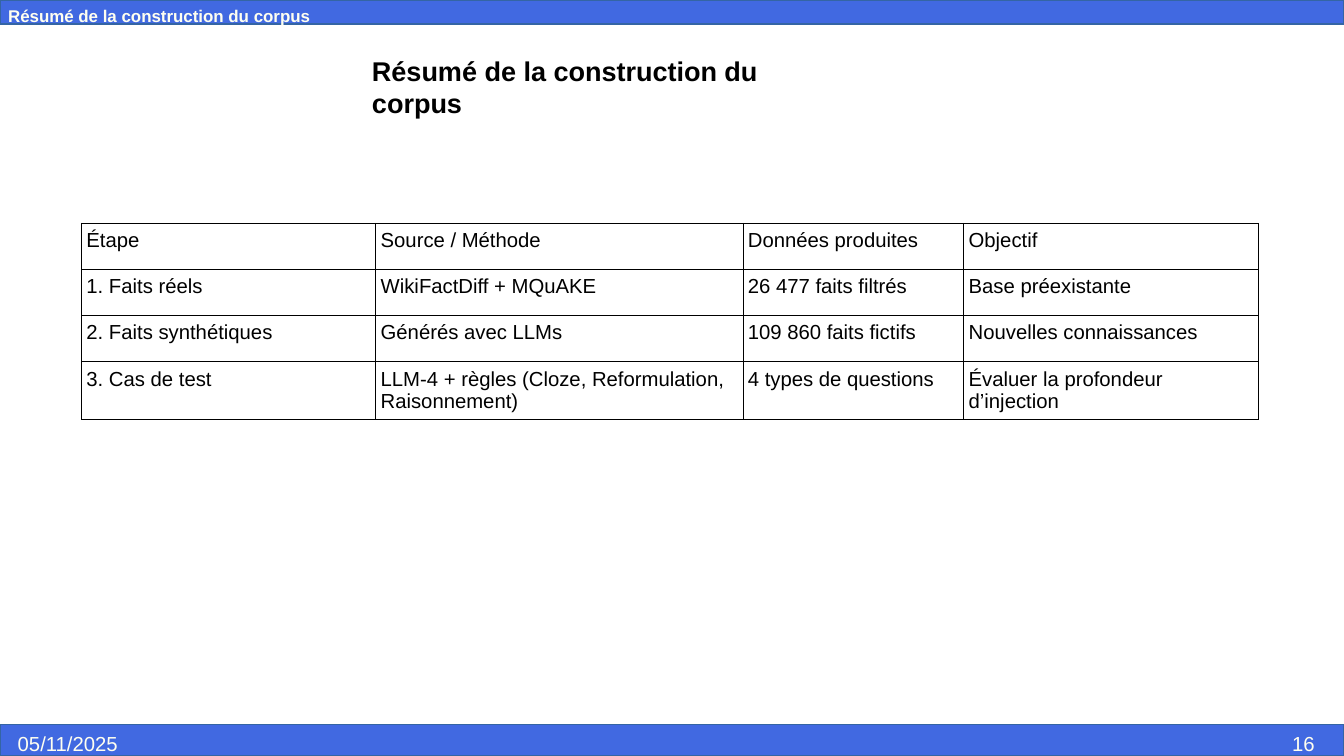
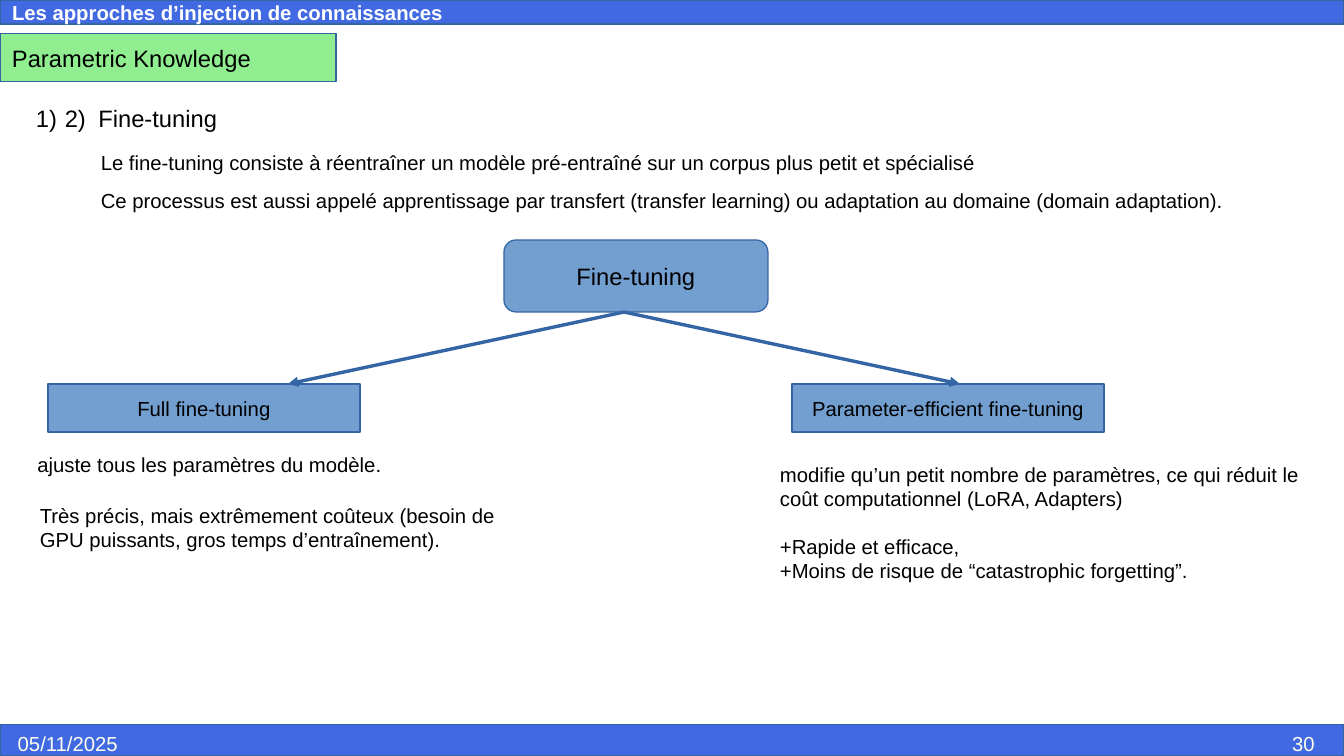
from lxml import etree
from pptx import Presentation
from pptx import util as u
from pptx.dml.color import RGBColor
from pptx.enum import shapes, text
from pptx.oxml import parse_xml
from pptx.oxml.ns import nsdecls, qn

COLS, ROWS = 28, 15.75  # grid of the slide, in square cells
CELL = u.Cm(1)
FONT = "Arial"

ROYAL = RGBColor(0x41, 0x69, 0xE1)
STEEL = RGBColor(0x72, 0x9F, 0xCF)
GREEN = RGBColor(0x90, 0xEE, 0x90)
OUTLINE = RGBColor(0x34, 0x65, 0xA4)
IVORY = RGBColor(0xFF, 0xFF, 0xF0)
WHITE = RGBColor(0xFF, 0xFF, 0xFF)
BLACK = RGBColor(0, 0, 0)

TOP, MIDDLE = text.MSO_ANCHOR.TOP, text.MSO_ANCHOR.MIDDLE
LEFT, CENTER = text.PP_ALIGN.LEFT, text.PP_ALIGN.CENTER
RECT = shapes.MSO_SHAPE.RECTANGLE


def grid(*cells):
    return [round(cell * CELL) for cell in cells]


class Deck:
    """Shared style and the slide being built; lengths are grid cells."""

    def __init__(self):
        self.prs = Presentation()
        self.prs.slide_width, self.prs.slide_height = grid(COLS, ROWS)
        self.slide = None

    def new_slide(self, number):
        self.slide = self.prs.slides.add_slide(self.prs.slide_layouts[5])
        self.box((0, 0, COLS, 0.5), ROYAL)
        self.box((0, 15.1, COLS, 0.65), ROYAL)
        self.label((0, 15.1, 4.5, 0.65), "05/11/2025", color=IVORY, inset=0.37)
        self.label((26.5, 15.1, 1.5, 0.65), number, color=IVORY, inset=0.42)

    def set_text(self, shape, lines, size=12, color=BLACK, bold=False,
                 align=LEFT, anchor=TOP, inset=0.25):
        frame = shape.text_frame
        frame.word_wrap = True
        frame.auto_size = text.MSO_AUTO_SIZE.NONE
        frame.vertical_anchor = anchor
        frame.margin_left, frame.margin_right = grid(inset, 0.25)
        frame.margin_top = frame.margin_bottom = u.Inches(0.05)
        for i, line in enumerate(lines.split("\n")):
            paragraph = frame.add_paragraph() if i else frame.paragraphs[0]
            paragraph.alignment = align
            self.add_words(paragraph, line, size, color, bold)
        return frame

    def add_words(self, paragraph, words, size, color=BLACK, bold=False):
        run = paragraph.add_run()
        run.text = words
        run.font.name, run.font.size = FONT, u.Pt(size)
        run.font.bold, run.font.color.rgb = bold, color

    def title(self, at, words, **style):
        title = self.slide.shapes.title
        title.left, title.top, title.width, title.height = grid(*at)
        self.set_text(title, words, bold=True, **style)
        self.slide.shapes._spTree.append(title._element)  # above the bands

    def label(self, at, lines, **style):
        return self.set_text(self.slide.shapes.add_textbox(*grid(*at)), lines, **style)

    def box(self, at, fill, words="", size=12, align=CENTER, kind=RECT):
        box = self.slide.shapes.add_shape(kind, *grid(*at))
        box.shadow.inherit = False
        box.fill.solid()
        box.fill.fore_color.rgb = fill
        box.line.color.rgb, box.line.width = OUTLINE, u.Pt(0)
        if words:
            self.set_text(box, words, size, align=align, anchor=MIDDLE)

    def numbered(self, at, words, size, indent, tab):
        paragraph = self.label(at, words, size=size).paragraphs[0]
        props = paragraph._p.get_or_add_pPr()
        step, stop = grid(indent, tab)
        props.set("marL", str(step))
        props.set("indent", str(-step))
        etree.SubElement(props, qn("a:buAutoNum"), type="arabicParenR")
        tabs = etree.SubElement(props, qn("a:tabLst"))
        etree.SubElement(tabs, qn("a:tab"), pos=str(stop), algn="l")

    def arrow(self, start, end):
        arrow = self.slide.shapes.add_connector(
            shapes.MSO_CONNECTOR.STRAIGHT, *grid(*start, *end))
        arrow.line.color.rgb, arrow.line.width = OUTLINE, u.Pt(0)
        etree.SubElement(arrow.line._get_or_add_ln(), qn("a:tailEnd"), type="triangle")
        etree.SubElement(arrow._element.spPr, qn("a:effectLst"))

    def table(self, left, top, widths, row_height, rows):
        table = self.slide.shapes.add_table(
            len(rows), len(widths),
            *grid(left, top, sum(widths), row_height * len(rows))).table
        table.first_row = table.horz_banding = False
        for column, width in zip(table.columns, grid(*widths)):
            column.width = width
        for r, row in enumerate(rows):
            for c, words in enumerate(row):
                cell = table.cell(r, c)
                cell.fill.background()
                cell.margin_left = cell.margin_right = u.Inches(0.04)
                cell.margin_top = cell.margin_bottom = u.Inches(0.05)
                self.add_words(cell.text_frame.paragraphs[0], words, 12)
                self.borders(cell)

    def borders(self, cell):
        props = cell._tc.get_or_add_tcPr()
        for i, side in enumerate("LRTB"):
            props.insert(i, parse_xml(
                f'<a:ln{side} {nsdecls("a")} w="{u.Pt(0.57)}"><a:solidFill>'
                f'<a:srgbClr val="{BLACK}"/></a:solidFill></a:ln{side}>'))


def corpus_summary(deck):
    heading = "Résumé de la construction du corpus"
    deck.new_slide("16")
    deck.label((0, 0, 10.5, 0.9), heading, size=10, color=IVORY, bold=True, inset=0.17)
    deck.title((7.5, 1, 10.57, 1.5), heading, size=16)
    deck.table(1.7, 4.65, (6.13, 7.65, 4.6, 6.13), 0.96, [
        ("Étape", "Source / Méthode", "Données produites", "Objectif"),
        ("1. Faits réels", "WikiFactDiff + MQuAKE", "26 477 faits filtrés",
         "Base préexistante"),
        ("2. Faits synthétiques", "Générés avec LLMs", "109 860 faits fictifs",
         "Nouvelles connaissances"),
        ("3. Cas de test", "LLM-4 + règles (Cloze, Reformulation, Raisonnement)",
         "4 types de questions", "Évaluer la profondeur d’injection"),
    ])


def fine_tuning(deck):
    deck.new_slide("30")
    deck.title((0, 0, COLS, 0.5), "Les approches d’injection de connaissances",
               color=WHITE, anchor=MIDDLE)
    deck.box((0, 0.7, 7, 1), GREEN, "Parametric Knowledge", 14, LEFT)

    # Definition
    deck.numbered((0.5, 2.03, 7, 0.97), "2)\tFine-tuning", 14, indent=0.6, tab=1.3)
    deck.label((1.85, 3, 22.1, 1.2), "Le fine-tuning consiste à réentraîner un modèle "
               "pré-entraîné sur un corpus plus petit et spécialisé")
    deck.label((1.85, 3.8, 25, 1.2), "Ce processus est aussi appelé apprentissage par "
               "transfert (transfer learning) ou adaptation au domaine (domain adaptation).")

    # Tree of the two methods
    deck.box((10.5, 5, 5.5, 1.5), STEEL, "Fine-tuning", 14,
             kind=shapes.MSO_SHAPE.ROUNDED_RECTANGLE)
    methods = [(1, 6, "Full fine-tuning"), (16.5, 20, "Parameter-efficient fine-tuning")]
    for left, tip, method in methods:
        deck.box((left, 8, 6.5, 1), STEEL, method)
        deck.arrow((13, 6.5), (tip, 8))

    # What each method brings
    deck.label((0.53, 9.3, 9.45, 1.2), "ajuste tous les paramètres du modèle.")
    deck.label((0.58, 10.35, 10.9, 2.6), "Très précis, mais extrêmement coûteux (besoin de "
               "GPU puissants, gros temps d’entraînement).")
    deck.label((16, 9.5, 12, 1.7), "modifie qu’un petit nombre de paramètres, ce qui "
               "réduit le coût computationnel (LoRA, Adapters)")
    deck.label((16, 11, 11.5, 2.65), "+Rapide et efficace,\n"
               "+Moins de risque de “catastrophic forgetting”.")


def main():
    deck = Deck()
    corpus_summary(deck)
    fine_tuning(deck)
    deck.prs.save("out.pptx")


if __name__ == "__main__":
    main()
